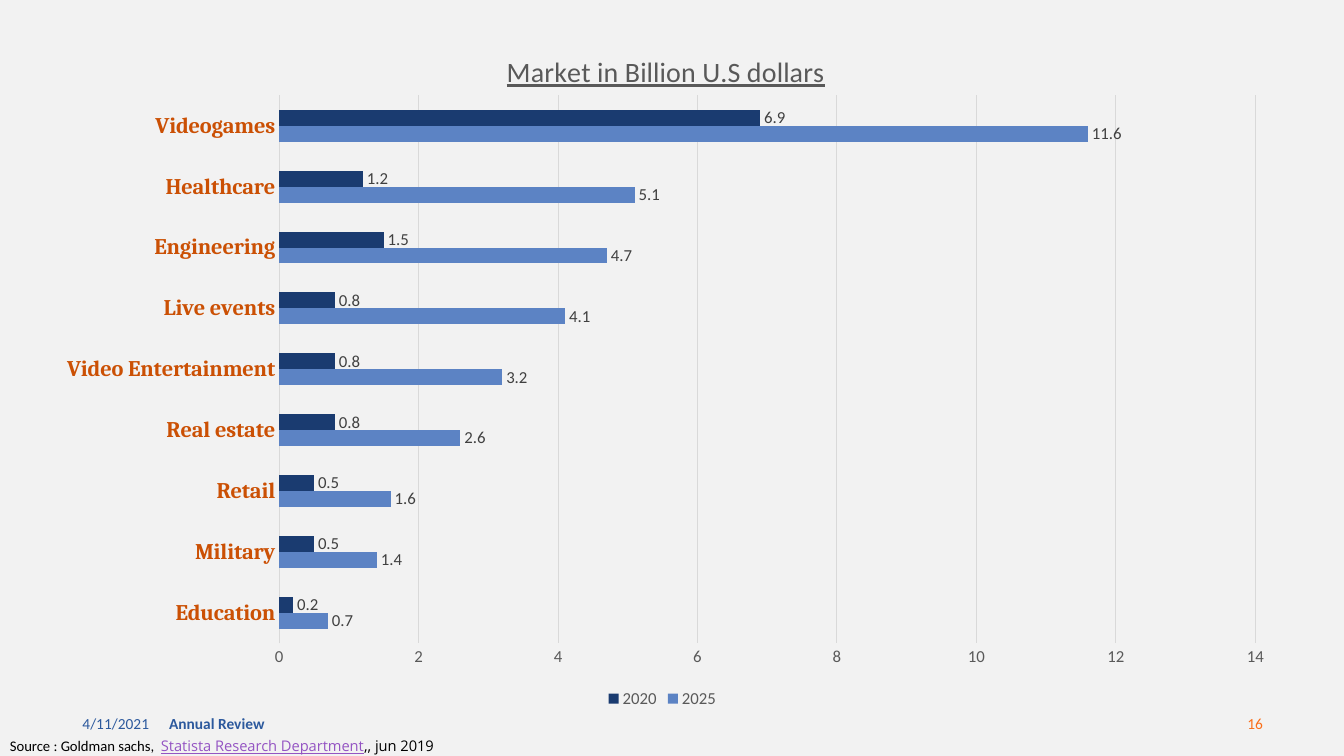
from lxml import etree
from pptx import Presentation
from pptx.chart.data import CategoryChartData
from pptx.dml.color import RGBColor
from pptx.enum.chart import XL_CHART_TYPE, XL_LABEL_POSITION, XL_LEGEND_POSITION, XL_TICK_MARK
from pptx.enum.text import MSO_ANCHOR, PP_ALIGN
from pptx.oxml import parse_xml
from pptx.oxml.ns import nsdecls, qn
from pptx.util import Cm, Pt

BAR = XL_CHART_TYPE.BAR_CLUSTERED
OUTSIDE = XL_LABEL_POSITION.OUTSIDE_END
BOTTOM = XL_LEGEND_POSITION.BOTTOM
NO_TICK = XL_TICK_MARK.NONE
MIDDLE, TOP = MSO_ANCHOR.MIDDLE, MSO_ANCHOR.TOP
LEFT, RIGHT = PP_ALIGN.LEFT, PP_ALIGN.RIGHT

COLORS = {
    "background": "F2F2F2", "footer": "2C599D", "number": "FA6F1A",
    "industry": "CB5004", "axis": "595959", "grid": "D9D9D9",
    "value": "404040", "text": "000000", "link": "9454C3",
    "2025": "5C83C4", "2020": "1A3B70",
}
INDUSTRIES = ["Education", "Military", "Retail", "Real estate", "Video Entertainment",
              "Live events", "Engineering", "Healthcare", "Videogames"]
MARKET = {
    "2025": [0.7, 1.4, 1.6, 2.6, 3.2, 4.1, 4.7, 5.1, 11.6],
    "2020": [0.2, 0.5, 0.5, 0.8, 0.8, 0.8, 1.5, 1.2, 6.9],
}


def rgb(name):
    return RGBColor.from_string(COLORS[name])


def style(font, size, color, face="Calibri", bold=False, underline=False):
    font.size = Pt(size)
    font.name = face
    font.bold = bold
    font.underline = underline
    font.color.rgb = rgb(color)


def place_layout(owner, x, y, width=None, height=None):
    for old in owner.findall(qn("c:layout")):
        owner.remove(old)
    layout = parse_xml(f"<c:layout {nsdecls('c')}><c:manualLayout/></c:layout>")
    settings = [("xMode", "edge"), ("yMode", "edge"), ("x", x), ("y", y)]
    if width:
        settings = [("layoutTarget", "inner"), *settings, ("w", width), ("h", height)]
    for tag, value in settings:
        etree.SubElement(layout[0], qn(f"c:{tag}")).set("val", str(value))
    text = owner.find(qn("c:tx"))
    owner.insert(0 if text is None else 1, layout)


def add_text(slide, box, runs, anchor=MIDDLE, align=LEFT):
    frame = slide.shapes.add_textbox(*(Cm(length) for length in box)).text_frame
    frame.word_wrap = True
    frame.vertical_anchor = anchor
    paragraph = frame.paragraphs[0]
    paragraph.alignment = align
    for text, options in runs:
        run = paragraph.add_run()
        run.text = text
        style(run.font, **options)


def add_footer(slide, left, top, width, height):
    blue = {"size": 11, "color": "footer"}
    side_width = 7.62
    add_text(slide, (left, top, side_width, height), [("4/11/2021", blue)])
    add_text(slide, (left + 2.18, top, 11.43, height),
             [("Annual Review", {**blue, "bold": True})])
    add_text(slide, (left + width - side_width, top, side_width, height),
             [("16", {"size": 11, "color": "number"})], align=RIGHT)


def add_source(slide, left, top, width, height):
    add_text(slide, (left, top, width, height), [
        ("Source : Goldman sachs, \u00a0".replace("\u00a0", " "), {"size": 10.5, "color": "text"}),
        ("Statista Research Department",
         {"size": 10.5, "color": "link", "face": "Open Sans", "underline": True}),
        (",, jun 2019", {"size": 10.5, "color": "text", "face": "Open Sans"}),
    ], anchor=TOP)


def format_axes(chart):
    industries, dollars = chart.category_axis, chart.value_axis
    for axis in (industries, dollars):
        axis.major_tick_mark = NO_TICK
        axis.minor_tick_mark = NO_TICK
    style(industries.tick_labels.font, 16, "industry", "Cambria", bold=True)
    style(dollars.tick_labels.font, 12, "axis")
    dollars.minimum_scale, dollars.maximum_scale, dollars.major_unit = 0, 14, 2
    dollars.format.line.fill.background()
    dollars.has_major_gridlines = True
    for line in (industries.format.line, dollars.major_gridlines.format.line):
        line.color.rgb = rgb("grid")
        line.width = Pt(0.75)


def add_market_chart(slide, left, top, width, height):
    data = CategoryChartData()
    data.categories = INDUSTRIES
    for year, values in MARKET.items():
        data.add_series(year, values)
    chart = slide.shapes.add_chart(BAR, Cm(left), Cm(top), Cm(width), Cm(height), data).chart
    style(chart.font, 10, "text")

    chart.has_title = True
    heading = chart.chart_title.text_frame
    heading.text = "Market in Billion U.S dollars"
    style(heading.paragraphs[0].runs[0].font, 20, "axis", underline=True)

    chart.has_legend = True
    chart.legend.position = BOTTOM
    chart.legend.include_in_layout = False
    style(chart.legend.font, 12, "axis")

    format_axes(chart)
    plot = chart.plots[0]
    plot.gap_width = 182
    plot.overlap = 0
    plot.vary_by_categories = False
    for series in plot.series:
        series.format.fill.solid()
        series.format.fill.fore_color.rgb = rgb(series.name)
        labels = series.data_labels
        labels.show_value = True
        labels.position = OUTSIDE
        style(labels.font, 12, "value")

    chart_xml = chart._chartSpace.find(qn("c:chart"))
    place_layout(chart_xml.find(qn("c:title")), 0.37, 0.04)
    place_layout(chart_xml.find(qn("c:plotArea")), 0.19, 0.11, 0.79, 0.79)


def main():
    deck = Presentation()
    deck.slide_width, deck.slide_height = Cm(33.87), Cm(19.05)
    slide = deck.slides.add_slide(deck.slide_layouts[6])
    slide.background.fill.solid()
    slide.background.fill.fore_color.rgb = rgb("background")
    add_footer(slide, 1.83, 17.73, 30.25, 1.02)
    add_market_chart(slide, 1.12, 0.48, 31.14, 17.48)
    add_source(slide, 0, 18.44, 13.21, 0.71)
    deck.save("out.pptx")


if __name__ == "__main__":
    main()
